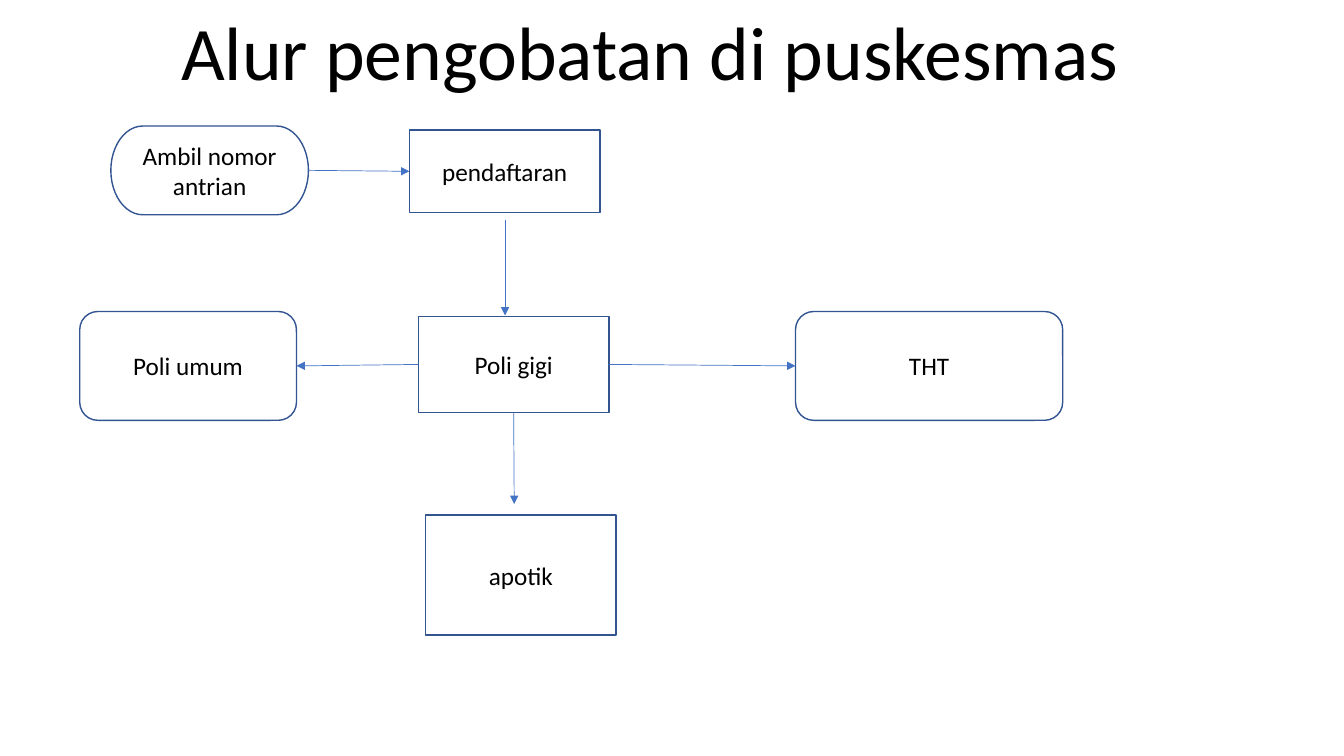
from lxml.etree import SubElement
from pptx import Presentation
from pptx.dml.color import RGBColor
from pptx.enum.shapes import MSO_CONNECTOR as Link, MSO_SHAPE as Kind
from pptx.enum.text import MSO_ANCHOR as Anchor, MSO_AUTO_SIZE as Fit, PP_ALIGN as Align
from pptx.oxml.ns import qn
from pptx.util import Inches, Pt

WIDE, HIGH = Inches(13.33), Inches(7.5)
TOP, LEFT, LOW, RIGHT = range(4)
STEP_W = 14.18  # width of the steps in the middle column


def color(code):
    return RGBColor.from_string(code)


def place(x, y):
    """Turn percentages of the slide into lengths."""
    return round(WIDE * x / 100), round(HIGH * y / 100)


def write(frame, text, size=18, font="Calibri", ink="000000", wrap=True):
    frame.word_wrap = wrap
    para = frame.paragraphs[0]
    para.alignment = Align.CENTER
    run = para.add_run()
    run.text = text
    run.font.size = Pt(size)
    run.font.name = font
    run.font.color.rgb = color(ink)


def title(slide, text, x, y, w, h):
    frame = slide.shapes.add_textbox(*place(x, y), *place(w, h)).text_frame
    write(frame, text, size=54, wrap=False)
    frame.auto_size = Fit.SHAPE_TO_FIT_TEXT


def box(slide, kind, text, x, y, w, h):
    shape = slide.shapes.add_shape(kind, *place(x, y), *place(w, h))
    shape.shadow.inherit = False
    shape.fill.solid()
    shape.fill.fore_color.rgb = color("FFFFFF")
    shape.line.color.rgb = color("325491")
    shape.line.width = Pt(1)
    shape.text_frame.vertical_anchor = Anchor.MIDDLE
    write(shape.text_frame, text)
    return shape


def arrow(slide, start, end):
    """Each end is a point (x, y) or a shape with one of its sides."""
    line = slide.shapes.add_connector(Link.STRAIGHT, 0, 0, 0, 0)
    if isinstance(start[0], (int, float)):
        line.begin_x, line.begin_y = place(*start)
    else:
        line.begin_connect(*start)
    if isinstance(end[0], (int, float)):
        line.end_x, line.end_y = place(*end)
    else:
        line.end_connect(*end)
    line.line.color.rgb = color("4472C4")
    line.line.width = Pt(0.5)
    SubElement(line.line._get_or_add_ln(), qn("a:tailEnd"), type="triangle")
    SubElement(line._element.spPr, qn("a:effectLst"))


def main():
    deck = Presentation()
    deck.slide_width, deck.slide_height = WIDE, HIGH
    slide = deck.slides.add_slide(deck.slide_layouts[6])

    title(slide, "Alur pengobatan di puskesmas", 12.38, 0, 71.94, 13.47)

    # Steps down the middle
    step = Kind.FLOWCHART_PROCESS
    desk = box(slide, step, "pendaftaran", 30.46, 17.2, STEP_W, 10.93)
    tooth = box(slide, step, "Poli gigi", 31.13, 41.87, STEP_W, 12.67)
    box(slide, step, "apotik", 31.66, 68.13, STEP_W, 15.87)

    # Start and the clinics on either side
    queue = box(slide, Kind.FLOWCHART_TERMINATOR, "Ambil nomor antrian",
                8.25, 16.67, 14.7, 11.73)
    clinic = Kind.FLOWCHART_ALTERNATE_PROCESS
    common = box(slide, clinic, "Poli umum", 5.93, 41.2, 16.13, 14.4)
    ear = box(slide, clinic, "THT", 59.19, 41.2, 19.88, 14.4)

    # Flow between the steps
    arrow(slide, (queue, RIGHT), (desk, LEFT))
    arrow(slide, (37.58, 29.07), (37.58, 41.73))
    arrow(slide, (tooth, RIGHT), (ear, LEFT))
    arrow(slide, (tooth, LEFT), (common, RIGHT))
    arrow(slide, (tooth, LOW), (38.26, 66.67))

    deck.save("out.pptx")


if __name__ == "__main__":
    main()
